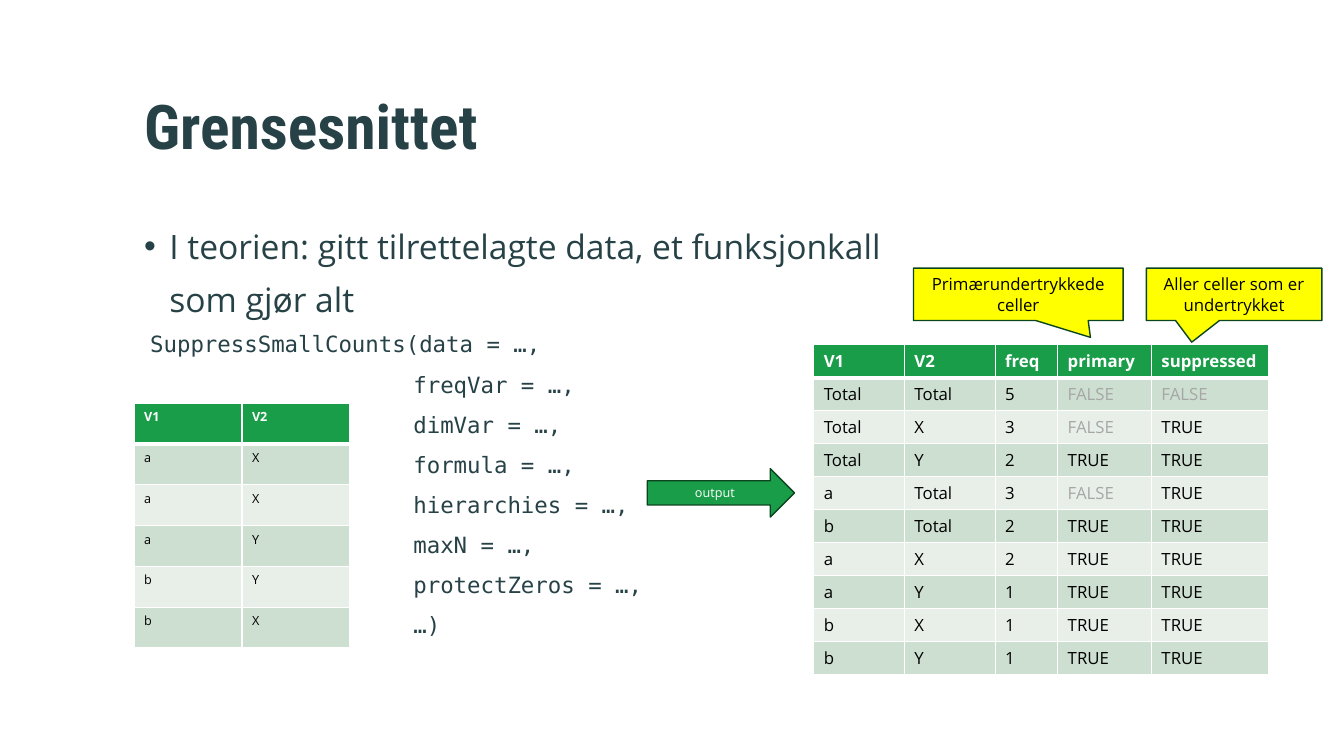
from dataclasses import dataclass

from lxml.etree import SubElement
from pptx import Presentation
from pptx.dml.color import RGBColor
from pptx.enum.shapes import MSO_SHAPE as SHAPE
from pptx.enum.text import MSO_ANCHOR as ANCHOR, MSO_AUTO_SIZE as AUTO, PP_ALIGN as ALIGN
from pptx.oxml.ns import qn
from pptx.util import Inches, Pt

GREEN, DARK_GREEN, YELLOW = "1A9D49", "0B4520", "FFFF00"
INK, BLACK, WHITE, GREY = "274247", "000000", "FFFFFF", "A6A6A6"
BANDS = ("E8EFE9", "CDDFD0")
SANS, MONO, HEADING = "Open Sans", "DejaVu Sans Mono", "Roboto Condensed"


@dataclass
class Box:
    kind: SHAPE
    at: tuple[float, ...]
    text: str
    size: float
    fill: str
    color: str
    adjust: tuple[float, ...] = ()


@dataclass
class Grid:
    left: float
    top: float
    widths: tuple[float, ...]
    row_height: float
    size: float
    rows: list[list[str]]


CODE = ["SuppressSmallCounts(data = …,", "freqVar = …,", "dimVar = …,", "formula = …,",
        "hierarchies = …,", "maxN = …,", "protectZeros = …,", "…)"]
INPUT = Grid(1.33, 4, (1.07, 1.07), 0.405, 9,
             [row.split() for row in ("V1 V2", "a X", "a X", "a Y", "b Y", "b X")])
OUTPUT = Grid(8.07, 3.42, (0.9, 0.9, 0.62, 0.93, 1.16), 0.313, 12, [row.split() for row in (
    "V1 V2 freq primary suppressed",
    "Total Total 5 FALSE FALSE",
    "Total X 3 FALSE TRUE",
    "Total Y 2 TRUE TRUE",
    "a Total 3 FALSE TRUE",
    "b Total 2 TRUE TRUE",
    "a X 2 TRUE TRUE",
    "a Y 1 TRUE TRUE",
    "b X 1 TRUE TRUE",
    "b Y 1 TRUE TRUE")])
BOXES = [
    Box(SHAPE.RIGHT_ARROW, (6.42, 4.65, 1.46, 0.48), "output", 9, GREEN, WHITE),
    Box(SHAPE.RECTANGULAR_CALLOUT, (9.06, 2.66, 2.08, 0.52),
        "Primærundertrykkede celler", 12, YELLOW, BLACK, (0.344, 0.821)),
    Box(SHAPE.RECTANGULAR_CALLOUT, (11.37, 2.66, 1.74, 0.52),
        "Aller celler som er undertrykket", 12, YELLOW, BLACK, (-0.241, 0.912)),
]


def rgb(value: str) -> RGBColor:
    return RGBColor.from_string(value)


def write(p, text: str, size: float, color: str, font: str = SANS, bold: bool = False) -> None:
    r = p.add_run()
    r.text = text
    for name, value in {"name": font, "size": Pt(size), "bold": bold}.items():
        setattr(r.font, name, value)
    r.font.color.rgb = rgb(color)


def format_paragraph(p, **formats) -> None:
    for name, value in formats.items():
        setattr(p, name, value)


def place(sp, left: float, top: float, width: float, height: float) -> None:
    values = {"left": left, "top": top, "width": width, "height": height}
    for name, value in values.items():
        setattr(sp, name, Inches(value))


def indent(p, margin: float, first: float = 0, bullet: bool = False) -> None:
    pPr = p._p.get_or_add_pPr()
    pPr.set("marL", str(Inches(margin)))
    pPr.set("indent", str(Inches(first)))
    if bullet:
        SubElement(pPr, qn("a:buFont"), typeface="Arial")
        SubElement(pPr, qn("a:buChar"), char="•")
    else:
        SubElement(pPr, qn("a:buNone"))


def add_borders(cell, top: float, bottom: float) -> None:
    tcPr = cell._tc.get_or_add_tcPr()
    for side, width in {"L": 1, "R": 1, "T": top, "B": bottom}.items():
        ln = SubElement(tcPr, qn(f"a:ln{side}"), w=str(Pt(width)))
        SubElement(SubElement(ln, qn("a:solidFill")), qn("a:srgbClr"), val=WHITE)


def add_grid(s, grid: Grid) -> None:
    count = len(grid.rows)
    table = s.shapes.add_table(
        count, len(grid.widths), Inches(grid.left), Inches(grid.top),
        Inches(sum(grid.widths)), Inches(grid.row_height * count)).table
    for column, width in zip(table.columns, grid.widths):
        column.width = Inches(width)
    for i, values in enumerate(grid.rows):
        table.rows[i].height = Inches(grid.row_height)
        header = i == 0
        for j, value in enumerate(values):
            cell = table.cell(i, j)
            add_borders(cell, top=3 if i == 1 else 1, bottom=3 if header else 1)
            cell.fill.solid()
            cell.fill.fore_color.rgb = rgb(GREEN if header else BANDS[i % 2])
            color = WHITE if header else GREY if value == "FALSE" else BLACK
            write(cell.text_frame.paragraphs[0], value, grid.size, color, bold=header)


def add_box(s, box: Box) -> None:
    sp = s.shapes.add_shape(box.kind, *map(Inches, box.at))
    sp.shadow.inherit = False
    for i, value in enumerate(box.adjust):
        sp.adjustments[i] = value
    sp.fill.solid()
    sp.fill.fore_color.rgb = rgb(box.fill)
    sp.line.color.rgb = rgb(DARK_GREEN)
    sp.line.width = Pt(1)
    tf = sp.text_frame
    tf.word_wrap = True
    tf.vertical_anchor = ANCHOR.MIDDLE
    p = tf.paragraphs[0]
    p.alignment = ALIGN.CENTER
    write(p, box.text, box.size, box.color)


def add_title(s) -> None:
    title = s.shapes.title
    place(title, 1.33, 0.6, 10.56, 1.43)
    tf = title.text_frame
    for name, value in {"vertical_anchor": ANCHOR.MIDDLE, "auto_size": AUTO.NONE,
                        "margin_top": 0, "margin_bottom": Inches(0.05)}.items():
        setattr(tf, name, value)
    p = tf.paragraphs[0]
    format_paragraph(p, alignment=ALIGN.LEFT, line_spacing=0.9)
    write(p, "Grensesnittet", 44, INK, HEADING, bold=True)


def add_body(s) -> None:
    body = s.placeholders[1]
    place(body, 1.33, 2.07, 8.16, 4.35)
    tf = body.text_frame
    tf.auto_size = AUTO.NONE
    p = tf.paragraphs[0]
    format_paragraph(p, line_spacing=1.31, space_before=Pt(0), space_after=Pt(8))
    indent(p, 0.25, -0.25, bullet=True)
    write(p, "I teorien: gitt tilrettelagte data, et funksjonkall som gjør alt", 24, INK)
    for i, line in enumerate(CODE):
        p = tf.add_paragraph()
        format_paragraph(p, line_spacing=1.0, space_before=Pt(0), space_after=Pt(9.5))
        indent(p, 2.67 if i else 0.06)
        write(p, line, 16, INK, MONO)


def main() -> None:
    prs = Presentation()
    prs.slide_width, prs.slide_height = Inches(13.33), Inches(7.5)
    s = prs.slides.add_slide(prs.slide_layouts[1])

    # Title and function call
    add_title(s)
    add_body(s)

    # Result table, arrow and callouts
    add_grid(s, OUTPUT)
    for box in BOXES:
        add_box(s, box)

    # Input table
    add_grid(s, INPUT)
    prs.save("out.pptx")


if __name__ == "__main__":
    main()
